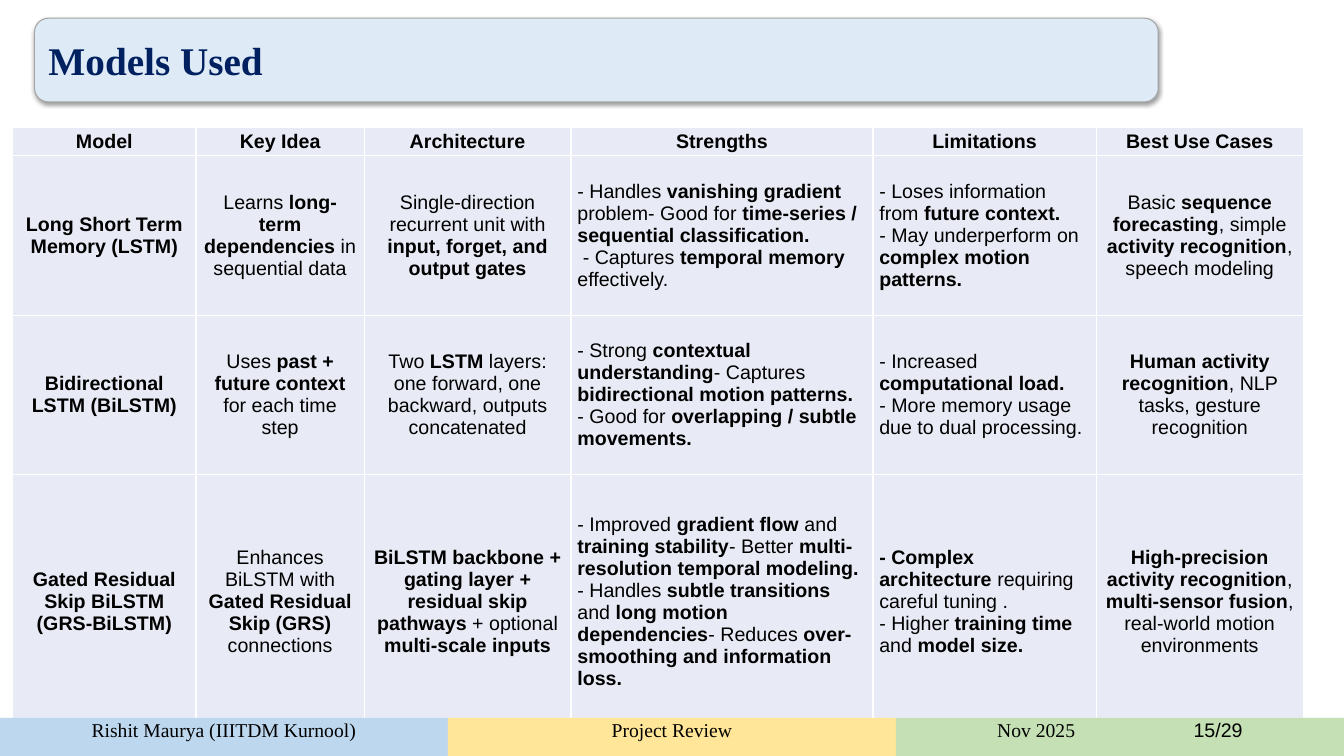
from lxml.etree import SubElement
from pptx import Presentation
from pptx.dml.color import RGBColor
from pptx.enum.shapes import MSO_SHAPE
from pptx.enum.text import MSO_ANCHOR, PP_ALIGN
from pptx.oxml import parse_xml
from pptx.oxml.ns import nsdecls, qn
from pptx.util import Cm, Pt

TITLE = "Models Used"

# **...** marks bold text; a line break starts a new paragraph.
MODELS = [
    ["**Model**", "**Key Idea**", "**Architecture**", "**Strengths**",
     "**Limitations**", "**Best Use Cases**"],
    ["**Long Short Term Memory (LSTM)**",
     "Learns **long-term dependencies** in sequential data",
     "Single-direction recurrent unit with **input, forget, and output gates**",
     "- Handles **vanishing gradient** problem- Good for "
     "**time-series / sequential classification.**\n"
     " - Captures **temporal memory** effectively.",
     "- Loses information from **future context.**\n"
     "- May underperform on **complex motion patterns.**",
     "Basic **sequence forecasting**, simple **activity recognition**, speech modeling"],
    ["**Bidirectional LSTM (BiLSTM)**",
     "Uses **past + future context** for each time step",
     "Two **LSTM** layers: one forward, one backward, outputs concatenated",
     "- Strong **contextual understanding**- Captures **bidirectional motion patterns.**\n"
     "- Good for **overlapping / subtle movements.**",
     "- Increased **computational load.**\n"
     "- More memory usage due to dual processing.",
     "**Human activity recognition**, NLP tasks, gesture recognition"],
    ["**Gated Residual Skip BiLSTM (GRS-BiLSTM)**",
     "Enhances BiLSTM with **Gated Residual Skip (GRS)** connections",
     "**BiLSTM backbone + gating layer + residual skip pathways** + optional "
     "**multi-scale inputs**",
     "- Improved **gradient flow** and **training stability**- Better "
     "**multi-resolution temporal modeling.**\n"
     "- Handles **subtle transitions** and **long motion dependencies**- Reduces "
     "**over-smoothing and information loss.**",
     "**- Complex architecture** requiring careful tuning .\n"
     "- Higher **training time** and **model size.**",
     "**High-precision activity recognition**, **multi-sensor fusion**, "
     "real-world motion environments"],
]
BULLETED_COLUMNS = (3, 4)
COLUMN_WIDTHS = (4.62, 4.24, 5.21, 7.61, 5.63, 5.21)
ROW_HEIGHTS = (0.69, 4.02, 4.02, 6.4)

AUTHOR = "Rishit Maurya (IIITDM Kurnool)"
EVENT = "Project Review"
DATE = "Nov 2025"
PAGE = "15/29"

THEME = {
    "serif": "Times New Roman", "sans": "Arial",
    "title_size": 28, "body_size": 14,
    "text": "000000", "title": "002060",
    "title_fill": "DEEBF7", "title_line": "A5A5A5",
    "cell": "E8EBF5", "border": "FFFFFF",
    "footer": ("BDD7EE", "FFE699", "C5E0B4"),
}

SLIDE_WIDTH, SLIDE_HEIGHT = 33.87, 19.05
FOOTER_TOP = 18.09


def color(name):
    return RGBColor.from_string(THEME[name])


def set_font(font, family, size="body_size", color_name="text"):
    font.name = THEME[family]
    font.size = Pt(THEME[size])
    font.color.rgb = color(color_name)


def add_title(slide):
    shape = slide.shapes.add_shape(
        MSO_SHAPE.ROUNDED_RECTANGLE, Cm(0.87), Cm(0.46), Cm(28.32), Cm(2.11))
    shape.fill.solid()
    shape.fill.fore_color.rgb = color("title_fill")
    shape.line.color.rgb = color("title_line")
    shape.line.width = Pt(0.75)
    shape.shadow.inherit = False
    shape._element.spPr.find(qn("a:effectLst")).append(parse_xml(
        f'<a:outerShdw {nsdecls("a")} blurRad="{Pt(3.1)}" dist="{Pt(1.6)}" '
        'dir="5400000" algn="ctr" rotWithShape="0"><a:srgbClr val="000000">'
        '<a:alpha val="38000"/></a:srgbClr></a:outerShdw>'))
    shape.text_frame.vertical_anchor = MSO_ANCHOR.MIDDLE
    paragraph = shape.text_frame.paragraphs[0]
    paragraph.text = TITLE
    paragraph.alignment = PP_ALIGN.LEFT
    set_font(paragraph.font, "serif", "title_size", "title")
    paragraph.font.bold = True


def style_cell(cell):
    properties = cell._tc.get_or_add_tcPr()
    for side in ("lnL", "lnR", "lnT", "lnB"):
        properties.append(parse_xml(
            f'<a:{side} {nsdecls("a")} w="{Pt(1)}"><a:solidFill>'
            f'<a:srgbClr val="{THEME["border"]}"/></a:solidFill></a:{side}>'))
    cell.fill.solid()
    cell.fill.fore_color.rgb = color("cell")
    cell.vertical_anchor = MSO_ANCHOR.MIDDLE
    cell.margin_left = cell.margin_right = Cm(0.16)
    cell.margin_top = cell.margin_bottom = Cm(0.08)


def write_cell(cell, text, alignment):
    for index, line in enumerate(text.split("\n")):
        frame = cell.text_frame
        paragraph = frame.add_paragraph() if index else frame.paragraphs[0]
        paragraph.alignment = alignment
        set_font(paragraph.font, "sans")
        for part, words in enumerate(line.split("**")):
            if words:
                run = paragraph.add_run()
                run.text = words
                set_font(run.font, "sans")
                run.font.bold = part % 2 == 1


def add_model_table(slide):
    table = slide.shapes.add_table(
        len(MODELS), len(COLUMN_WIDTHS), Cm(0.32), Cm(3.21),
        Cm(sum(COLUMN_WIDTHS)), Cm(sum(ROW_HEIGHTS))).table
    table.first_row = table.horz_banding = False
    for column, width in zip(table.columns, COLUMN_WIDTHS):
        column.width = Cm(width)
    for row, height in zip(table.rows, ROW_HEIGHTS):
        row.height = Cm(height)
    for row_index, texts in enumerate(MODELS):
        for column_index, text in enumerate(texts):
            cell = table.cell(row_index, column_index)
            bulleted = row_index > 0 and column_index in BULLETED_COLUMNS
            style_cell(cell)
            write_cell(cell, text, PP_ALIGN.LEFT if bulleted else PP_ALIGN.CENTER)


def add_footer_band(slide, index, text):
    width = SLIDE_WIDTH / len(THEME["footer"])
    shape = slide.shapes.add_shape(
        MSO_SHAPE.RECTANGLE, Cm(index * width), Cm(FOOTER_TOP),
        Cm(width), Cm(SLIDE_HEIGHT - FOOTER_TOP))
    shape.shadow.inherit = False
    shape.fill.solid()
    shape.fill.fore_color.rgb = RGBColor.from_string(THEME["footer"][index])
    shape.line.fill.background()
    frame = shape.text_frame
    frame.margin_left = frame.margin_right = frame.margin_top = frame.margin_bottom = 0
    frame.vertical_anchor = MSO_ANCHOR.TOP
    paragraph = frame.paragraphs[0]
    paragraph.alignment = PP_ALIGN.CENTER
    run = paragraph.add_run()
    run.text = text
    set_font(run.font, "serif")
    return frame


def add_footer(slide):
    for index, text in enumerate((AUTHOR, EVENT)):
        add_footer_band(slide, index, text)
    frame = add_footer_band(slide, 2, f"{DATE}\t")
    frame.margin_left = Cm(2.55)
    paragraph = frame.paragraphs[0]
    paragraph.alignment = PP_ALIGN.LEFT
    tabs = SubElement(paragraph._p.get_or_add_pPr(), qn("a:tabLst"))
    SubElement(tabs, qn("a:tab"), pos=str(Cm(4.95)), algn="l")
    page = paragraph.add_run()
    page.text = PAGE
    set_font(page.font, "sans")


def main():
    presentation = Presentation()
    presentation.slide_width = Cm(SLIDE_WIDTH)
    presentation.slide_height = Cm(SLIDE_HEIGHT)
    slide = presentation.slides.add_slide(presentation.slide_layouts[6])
    add_title(slide)
    add_model_table(slide)
    add_footer(slide)
    presentation.save("out.pptx")


if __name__ == "__main__":
    main()
